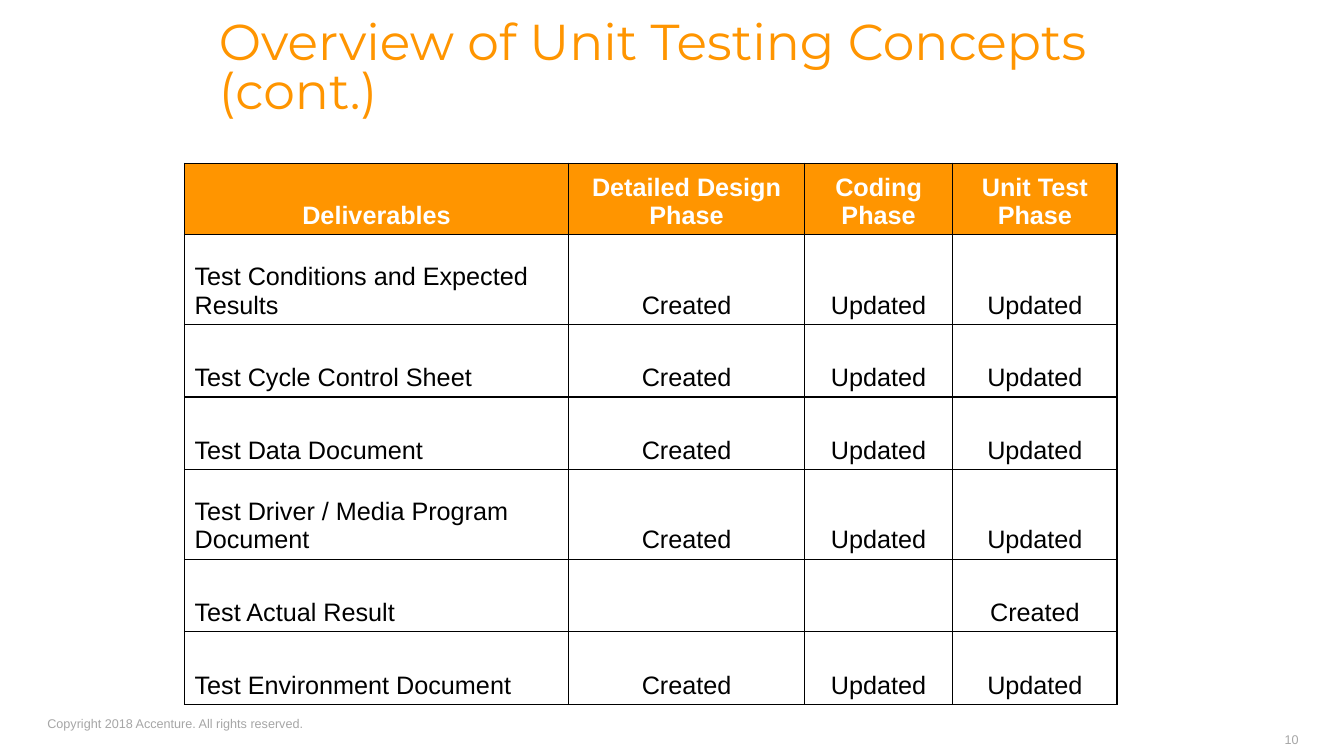
from lxml.etree import SubElement
from pptx import Presentation
from pptx.dml.color import RGBColor
from pptx.enum.text import MSO_ANCHOR, PP_ALIGN
from pptx.oxml.ns import qn
from pptx.util import Inches, Pt

# Content
TITLE = "Overview of Unit Testing Concepts (cont.)"
COPYRIGHT = "Copyright 2018 Accenture. All rights reserved."
PAGE_NUMBER = "10"
HEADINGS = ("Deliverables", "Detailed Design Phase", "Coding Phase", "Unit Test Phase")
DELIVERABLES = [
    ("Test Conditions and Expected Results", "Created", "Updated", "Updated"),
    ("Test Cycle Control Sheet", "Created", "Updated", "Updated"),
    ("Test Data Document", "Created", "Updated", "Updated"),
    ("Test Driver / Media Program Document", "Created", "Updated", "Updated"),
    ("Test Actual Result", "", "", "Created"),
    ("Test Environment Document", "Created", "Updated", "Updated"),
]
COLUMN_WIDTHS = (3.81, 2.34, 1.47, 1.63)
ROW_HEIGHTS = (0.71, 0.89, 0.72, 0.72, 0.89, 0.72, 0.72)

ORANGE, GREY, BLACK, WHITE = "FF9500", "A6A6A6", "000000", "FFFFFF"


def color(hex_code):
    return RGBColor.from_string(hex_code)


def write(frame, text, size, font, hex_code, align=PP_ALIGN.LEFT, bold=False):
    paragraph = frame.paragraphs[0]
    paragraph.alignment = align
    run = paragraph.add_run()
    run.text = text
    run.font.size = Pt(size)
    run.font.name = font
    run.font.bold = bold
    run.font.color.rgb = color(hex_code)
    return paragraph


def add_text(box, inset, text, *style, wrap=True):
    frame = slide.shapes.add_textbox(*map(Inches, box)).text_frame
    frame.word_wrap = wrap
    frame.margin_left = frame.margin_right = 0
    frame.margin_top = frame.margin_bottom = Inches(inset)
    return write(frame, text, *style)


def add_borders(cell):
    properties = cell._tc.get_or_add_tcPr()
    for side in ("lnL", "lnR", "lnT", "lnB"):
        line = SubElement(properties, qn(f"a:{side}"), w=str(Pt(1)))
        fill = SubElement(line, qn("a:solidFill"))
        SubElement(fill, qn("a:srgbClr"), val=BLACK)


presentation = Presentation()
presentation.slide_width, presentation.slide_height = Inches(13.33), Inches(7.5)
slide = presentation.slides.add_slide(presentation.slide_layouts[6])

# Copyright line
add_text((0.47, 7.05, 2.57, 0.25), 0.05, COPYRIGHT, 9, "Arial", GREY, wrap=False)

# Deliverables table
rows = [HEADINGS, *DELIVERABLES]
table = slide.shapes.add_table(
    len(rows), len(HEADINGS), Inches(1.83), Inches(1.62),
    Inches(sum(COLUMN_WIDTHS)), Inches(sum(ROW_HEIGHTS))).table
table.first_row = table.horz_banding = False
for column, width in zip(table.columns, COLUMN_WIDTHS):
    column.width = Inches(width)
for r, (row, height) in enumerate(zip(rows, ROW_HEIGHTS)):
    table.rows[r].height = Inches(height)
    heading = r == 0
    for c, entry in enumerate(row):
        cell = table.cell(r, c)
        cell.vertical_anchor = MSO_ANCHOR.BOTTOM
        add_borders(cell)
        if heading:
            cell.fill.solid()
            cell.fill.fore_color.rgb = color(ORANGE)
        else:
            cell.fill.background()
        if entry:
            align = PP_ALIGN.CENTER if heading or c else PP_ALIGN.LEFT
            write(cell.text_frame, entry, 18, "Arial",
                  WHITE if heading else BLACK, align, heading)

# Title
title = add_text((2.17, 0.22, 9.19, 1), 0, TITLE, 36, "Montserrat", ORANGE)
title.line_spacing = 0.8

# Page number
add_text((9.98, 7.21, 2.9, 0.24), 0.05, PAGE_NUMBER, 9, "Arial", GREY, PP_ALIGN.RIGHT)

presentation.save("out.pptx")
